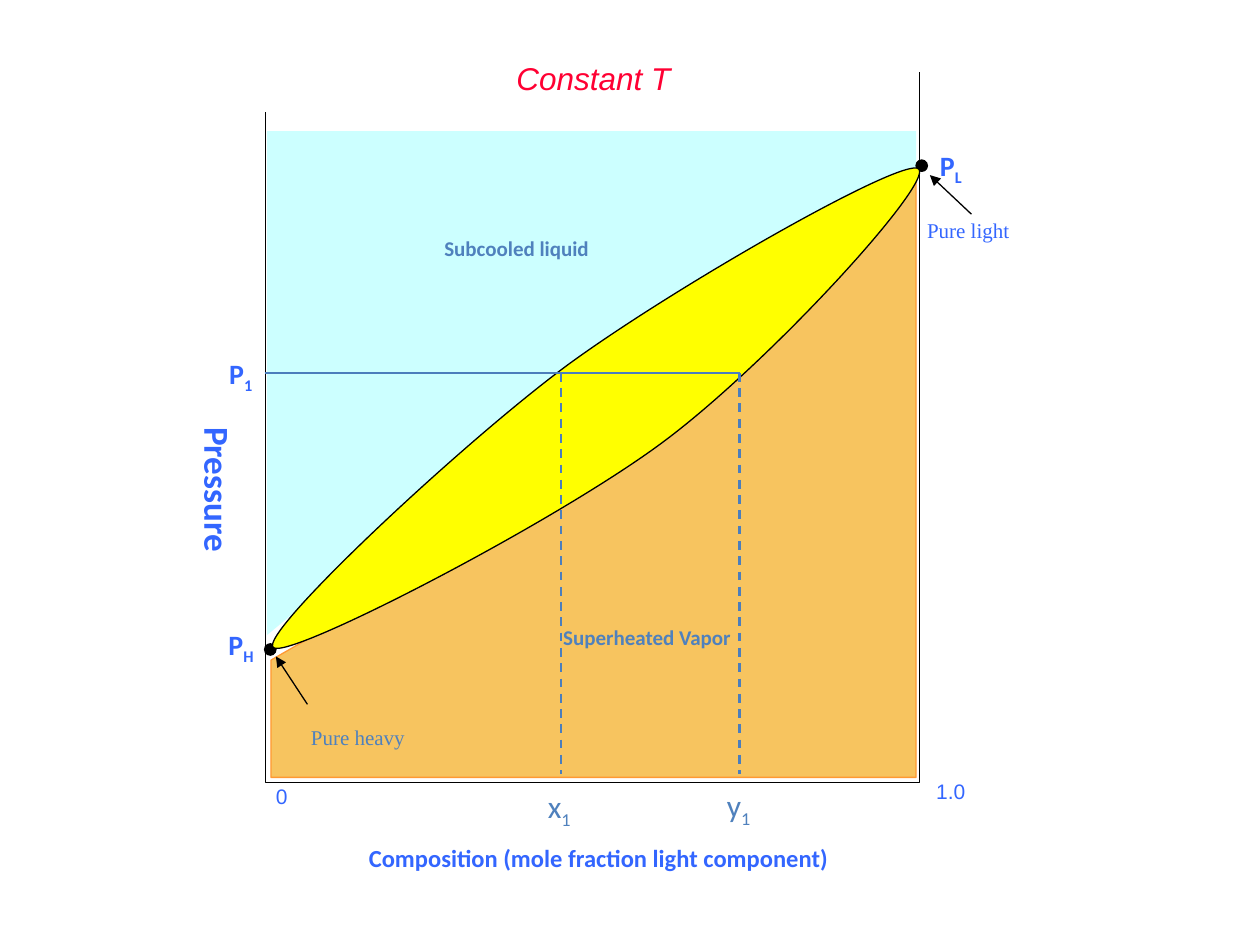
from dataclasses import dataclass
from math import cos, radians, sin
from typing import Optional

from lxml.etree import SubElement
from pptx import Presentation
from pptx.dml.color import RGBColor
from pptx.enum.dml import MSO_LINE
from pptx.enum.shapes import MSO_CONNECTOR, MSO_SHAPE
from pptx.enum.text import MSO_AUTO_SIZE, PP_ALIGN
from pptx.oxml.ns import qn
from pptx.util import Inches, Pt

COLUMNS, ROWS = 100, 75
CELL = Inches(0.1)  # every position below is a column or row of this grid

BLACK = RGBColor(0, 0, 0)
CYAN = RGBColor(0xCC, 0xFF, 0xFF)
SAND = RGBColor(0xF7, 0xC4, 0x5F)
ORANGE = RGBColor(0xFF, 0x99, 0x33)
YELLOW = RGBColor(0xFF, 0xFF, 0)
RED = RGBColor(0xFF, 0, 0x33)
BLUE = RGBColor(0x33, 0x66, 0xFF)
STEEL = RGBColor(0x4F, 0x81, 0xBD)
GUIDE = RGBColor(0x4B, 0x7E, 0xBC)
THIN, MEDIUM = 0.74, 1.25
LEFT, CENTER, RIGHT = PP_ALIGN.LEFT, PP_ALIGN.CENTER, PP_ALIGN.RIGHT
CALIBRI, TIMES, ARIAL = "Calibri", "Times New Roman", "Arial"

Point = tuple[float, float]


@dataclass(frozen=True)
class Outline:
    """An area or open path with straight or curved sides."""
    points: list[Point]
    fill: Optional[RGBColor] = None
    line: Optional[RGBColor] = None
    closed: bool = True
    curved: bool = False
    turn: float = 0


@dataclass(frozen=True)
class Stroke:
    """A straight line, optionally dashed or ending in an arrowhead."""
    start: Point
    end: Point
    color: RGBColor = GUIDE
    width: float = MEDIUM
    dashed: bool = False
    arrow: bool = False


@dataclass(frozen=True)
class Label:
    """One line of text with an optional subscript."""
    text: str
    box: tuple[float, float, float, float]
    size: float
    color: RGBColor = BLUE
    font: str = CALIBRI
    align: PP_ALIGN = CENTER
    sub: str = ""
    bold: bool = False
    italic: bool = False
    rtl: bool = True
    hanging: bool = True
    wrap: bool = True
    vertical: bool = False
    before: float = 7.5


def cells(*values: float) -> list[int]:
    """Convert grid positions to slide units."""
    return [round(value * CELL) for value in values]


def rotate(points: list[Point], center: Point, degrees: float) -> list[Point]:
    """Turn points clockwise about a center."""
    c, s = cos(radians(degrees)), sin(radians(degrees))
    cx, cy = center
    return [(cx + (x - cx) * c - (y - cy) * s, cy + (x - cx) * s + (y - cy) * c)
            for x, y in points]


def paint(shape, fill: Optional[RGBColor], line: Optional[RGBColor]) -> None:
    """Set fill and outline, and drop the shadow."""
    shape.shadow.inherit = False
    if fill is None:
        shape.fill.background()
    else:
        shape.fill.solid()
        shape.fill.fore_color.rgb = fill
    if line is None:
        shape.line.fill.background()
    else:
        shape.line.color.rgb = line
        shape.line.width = Pt(THIN)


def bend(shape) -> None:
    """Join every three line segments into one cubic curve."""
    segments = list(shape._element.iter(qn("a:lnTo")))
    for first in range(0, len(segments), 3):
        group = segments[first:first + 3]
        outline = group[0].getparent()
        curve = SubElement(outline, qn("a:cubicBezTo"))
        group[0].addprevious(curve)
        for segment in group:
            curve.append(segment[0])
            outline.remove(segment)


def draw_outline(page, outline: Outline) -> None:
    """Draw an outline as a freeform."""
    points = [tuple(cells(*point)) for point in outline.points]
    builder = page.shapes.build_freeform(*points[0], scale=1.0)
    builder.add_line_segments(points[1:], close=outline.closed)
    shape = builder.convert_to_shape()
    if outline.curved:
        bend(shape)
    shape.rotation = outline.turn
    paint(shape, outline.fill, outline.line)


def draw_dot(page, left: float, top: float) -> None:
    """Mark a pure-component point."""
    dot = page.shapes.add_shape(MSO_SHAPE.OVAL, *cells(left, top, 0.9, 0.9))
    paint(dot, BLACK, BLACK)


def draw_stroke(page, stroke: Stroke) -> None:
    """Draw a connector."""
    line = page.shapes.add_connector(
        MSO_CONNECTOR.STRAIGHT, *cells(*stroke.start, *stroke.end))
    line.line.color.rgb = stroke.color
    line.line.width = Pt(stroke.width)
    if stroke.dashed:
        line.line.dash_style = MSO_LINE.DASH
    if stroke.arrow:
        SubElement(line.line._get_or_add_ln(), qn("a:tailEnd"), type="triangle")
    SubElement(line._element.spPr, qn("a:effectLst"))


def draw_label(page, label: Label) -> None:
    """Write a label run by run."""
    box = page.shapes.add_textbox(*cells(*label.box))
    frame = box.text_frame
    frame.word_wrap = label.wrap
    frame.auto_size = MSO_AUTO_SIZE.NONE if label.vertical else MSO_AUTO_SIZE.SHAPE_TO_FIT_TEXT
    if label.vertical:
        frame._txBody.bodyPr.set("vert", "eaVert")
    para = frame.paragraphs[0]
    para.alignment = label.align
    if label.hanging:
        para.space_before = Pt(label.before)
        properties = para._p.get_or_add_pPr()
        properties.set("marL", str(Inches(0.5)))
        properties.set("indent", str(-Inches(0.5)))
        if label.rtl:
            properties.set("rtl", "1")
    for text, baseline in ((label.text, None), (label.sub, "-25000")):
        if not text:
            continue
        span = para.add_run()
        span.text = text
        span.font.name = label.font
        span.font.size = Pt(label.size)
        span.font.bold = label.bold
        span.font.italic = label.italic
        span.font.color.rgb = label.color
        SubElement(span.font._element, qn("a:cs"), typeface=ARIAL)
        if baseline:
            span.font._element.set("baseline", baseline)


TILT = 12
LENS = [(21.7, 51.4), (20.4, 50.4), (36.5, 35.3), (45, 29), (53.6, 22.7),
        (71.7, 12.4), (72.9, 13.4), (74.2, 14.4), (61.1, 28.8), (52.6, 35.1),
        (44, 41.5), (22.9, 52.4), (21.7, 51.4)]
AREAS = [
    Outline([(21.2, 50.4), (21.2, 10.4), (72.7, 10.4), (72.7, 13.4), (45.3, 30.4)], CYAN),
    Outline([(21.5, 52.4), (53.5, 34), (72.7, 14), (72.7, 61.7), (21.5, 61.7)], SAND, ORANGE),
    Outline([(21.1, 8.9), (21.1, 62.1), (73, 62.1), (73, 5.7)], line=BLACK, closed=False),
]
TWO_PHASE = Outline(rotate(LENS, (47.3, 32.4), TILT), YELLOW, BLACK, curved=True,
                    turn=360 - TILT)
DOTS = [(21, 51.1), (72.7, 12.7)]
P1_ROW, X1_COLUMN, Y1_COLUMN = 29.6, 44.5, 58.7
ARROWS = [Stroke(start, end, BLACK, THIN, arrow=True) for start, end in
          [((24.4, 55.9), (21.9, 52.1)), ((77.1, 17), (73.8, 13.9))]]
GUIDES = [Stroke((21, P1_ROW), (Y1_COLUMN, P1_ROW))] + [
    Stroke((column, P1_ROW), (column, 61.4), dashed=True) for column in (X1_COLUMN, Y1_COLUMN)]
LABELS = [
    Label("Subcooled liquid", (32.4, 18.2, 17.2, 3.1), 12, STEEL, bold=True),
    Label("0", (18.5, 61.7, 5.3, 7), 12, font=TIMES, align=RIGHT),
    Label("1.0", (67.2, 61.3, 10.4, 5.9), 12, font=TIMES, align=RIGHT),
    Label("Composition (mole fraction light component)", (6.4, 66.4, 82.2, 3.4), 14, bold=True),
    Label("Superheated Vapor", (35.8, 49.1, 31.1, 3.1), 12, STEEL, bold=True),
    Label("Pressure", (14.3, 29, 5.2, 19.7), 20, bold=True, vertical=True),
    Label("Pure heavy", (22.7, 57, 11.4, 3.1), 12, STEEL, TIMES),
    Label("Pure light", (72.6, 16.8, 9, 3.1), 12, font=TIMES, align=LEFT, rtl=False),
    Label("Constant T", (21.2, 4.2, 51.8, 4.1), 18, RED, ARIAL, italic=True, rtl=False,
          before=11.2),
]
LABELS += [Label("P", (left, top, 4.2, 3.7), 16, align=RIGHT, sub=sub, bold=True)
           for sub, left, top in (("L", 73.1, 11.3), ("H", 16.9, 49.3), ("1", 16.8, 27.8))]
LABELS += [Label(name, (column - 2, top, 4, 4), 18, STEEL, align=LEFT, sub="1",
                 hanging=False, wrap=False)
           for name, column, top in (("x", X1_COLUMN, 62), ("y", Y1_COLUMN, 61.9))]

deck = Presentation()
deck.slide_width, deck.slide_height = COLUMNS * CELL, ROWS * CELL
page = deck.slides.add_slide(deck.slide_layouts[6])
for area in AREAS:
    draw_outline(page, area)
for dot_position in DOTS:
    draw_dot(page, *dot_position)
draw_outline(page, TWO_PHASE)
for stroke in ARROWS + GUIDES:
    draw_stroke(page, stroke)
for label in LABELS:
    draw_label(page, label)
deck.save("out.pptx")
